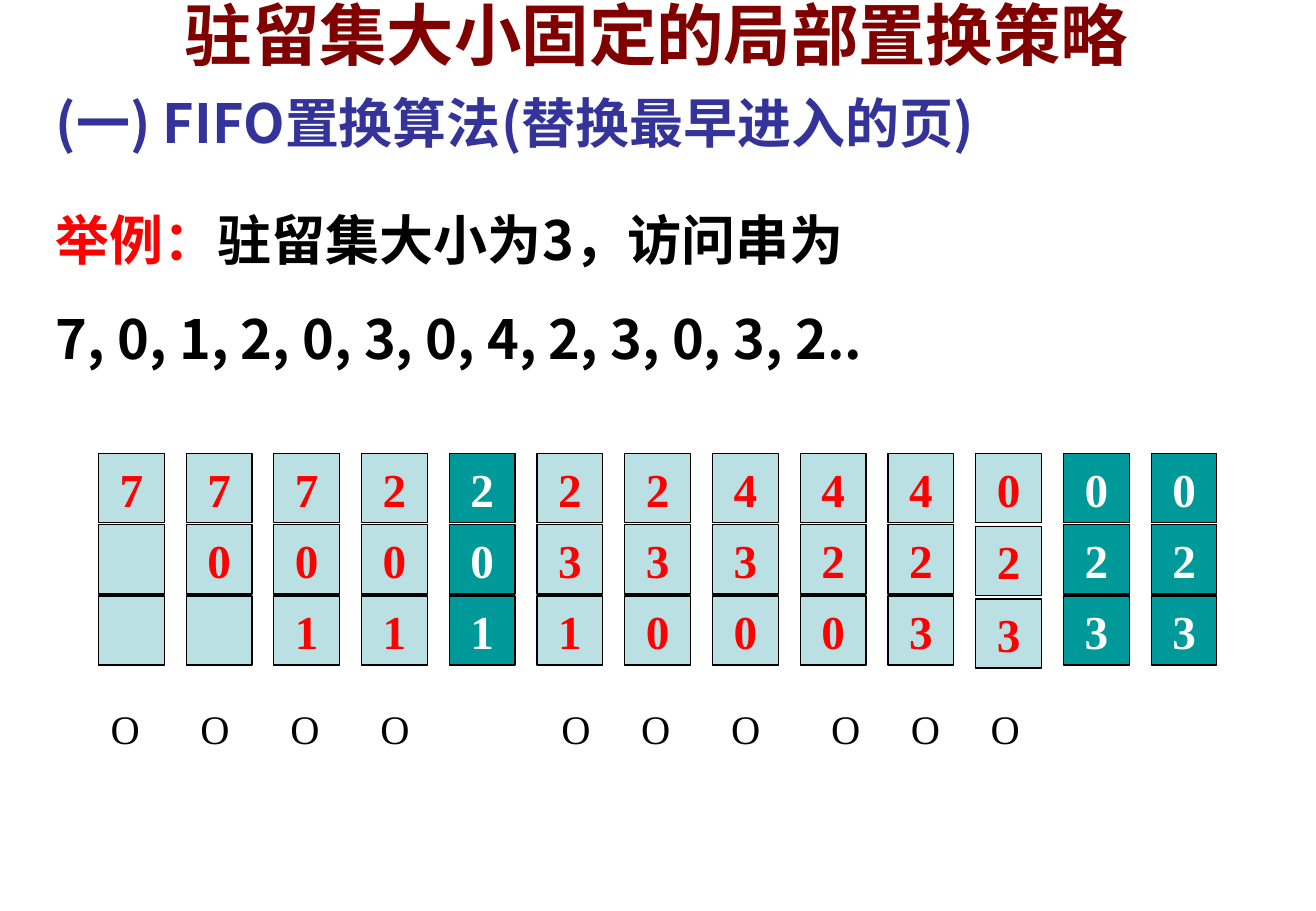
from lxml import etree
from pptx import Presentation
from pptx.dml.color import RGBColor
from pptx.enum.shapes import MSO_SHAPE
from pptx.enum.text import MSO_ANCHOR, MSO_AUTO_SIZE, PP_ALIGN
from pptx.oxml.ns import qn
from pptx.util import Pt

RECT = MSO_SHAPE.RECTANGLE
TOP, MIDDLE = MSO_ANCHOR.TOP, MSO_ANCHOR.MIDDLE
FIXED = MSO_AUTO_SIZE.NONE
LEFT, CENTER = PP_ALIGN.LEFT, PP_ALIGN.CENTER
SANS, SERIF = "Noto Sans CJK SC", "Times New Roman"
COLORS = {
    "title": "800000", "head": "333399", "red": "FF0000", "black": "000000",
    "white": "FFFFFF", "fault": "BBE0E3", "hit": "009999",
}


def color(name):
    return RGBColor.from_string(COLORS[name])


def add_run(para, text, size, face, tint, bold=True):
    run = para.add_run()
    run.text = text
    font = run.font
    font.size, font.name, font.bold = Pt(size), face, bold
    font.color.rgb = color(tint)
    etree.SubElement(run._r.get_or_add_rPr(), qn("a:ea")).set("typeface", face)


deck = Presentation()
deck.slide_width, deck.slide_height = Pt(780.48), Pt(540)
slide = deck.slides.add_slide(deck.slide_layouts[5])
shapes = slide.shapes

# Title
title = shapes.title
title.left, title.top, title.width, title.height = Pt(102.4), Pt(-7.9), Pt(574), Pt(55.4)
frame = title.text_frame
frame.word_wrap, frame.auto_size, frame.vertical_anchor = False, FIXED, TOP
frame.paragraphs[0].alignment = LEFT
add_run(frame.paragraphs[0], "驻留集大小固定的局部置换策略", 40, SANS, "title")

# Heading and example: top, width, height, paragraphs of (text, color) runs
texts = [
    (49.3, 676, 46, [[("(一) FIFO置换算法(替换最早进入的页)", "head")]]),
    (119, 717, 142.6, [
        [("举例：", "red"), ("驻留集大小为3，访问串为", "black")],
        [("7, 0, 1, 2, 0, 3, 0, 4, 2, 3, 0, 3, 2..", "black")],
    ]),
]
for top, width, height, paras in texts:
    frame = shapes.add_textbox(Pt(26.1), Pt(top), Pt(width), Pt(height)).text_frame
    frame.word_wrap = True
    for i, runs in enumerate(paras):
        para = frame.add_paragraph() if i else frame.paragraphs[0]
        if i:
            para.space_before = Pt(20)
        for text, tint in runs:
            add_run(para, text, 32, SANS, tint)

# Page frames: one column per access, a blank is an empty frame
columns = ["7  ", "70 ", "701", "201", "201", "231", "230",
           "430", "420", "423", "023", "023", "023"]
hits = {4, 11, 12}
for col, pages in enumerate(columns):
    group = shapes.add_group_shape()
    step = 43.1 if col == 10 else 42.2
    for row, page in enumerate(pages):
        cell = group.shapes.add_shape(
            RECT, Pt(58.4 + 52.03 * col), Pt(268.9 + step * row), Pt(39), Pt(41))
        cell.shadow.inherit = False
        cell.fill.solid()
        cell.fill.fore_color.rgb = color("hit" if col in hits else "fault")
        cell.line.color.rgb = color("black")
        cell.line.width = Pt(0.75)
        if page != " ":
            frame = cell.text_frame
            frame.vertical_anchor = MIDDLE
            para = frame.paragraphs[0]
            para.alignment = CENTER
            add_run(para, page, 28, SERIF, "white" if col in hits else "red")

# Page fault marks, set on tab stops
stops = [53.33, 106.67, 160, 267.33, 314.67, 368, 427.33, 474.67, 522]
frame = shapes.add_textbox(Pt(58.5), Pt(413.6), Pt(676), Pt(36)).text_frame
frame.word_wrap = True
para = frame.paragraphs[0]
tabs = etree.SubElement(para._p.get_or_add_pPr(), qn("a:tabLst"))
for stop in stops:
    etree.SubElement(tabs, qn("a:tab"), pos=str(Pt(stop)), algn="l")
add_run(para, "\t".join("O" * (len(stops) + 1)), 24, SERIF, "black", False)

deck.save("out.pptx")
